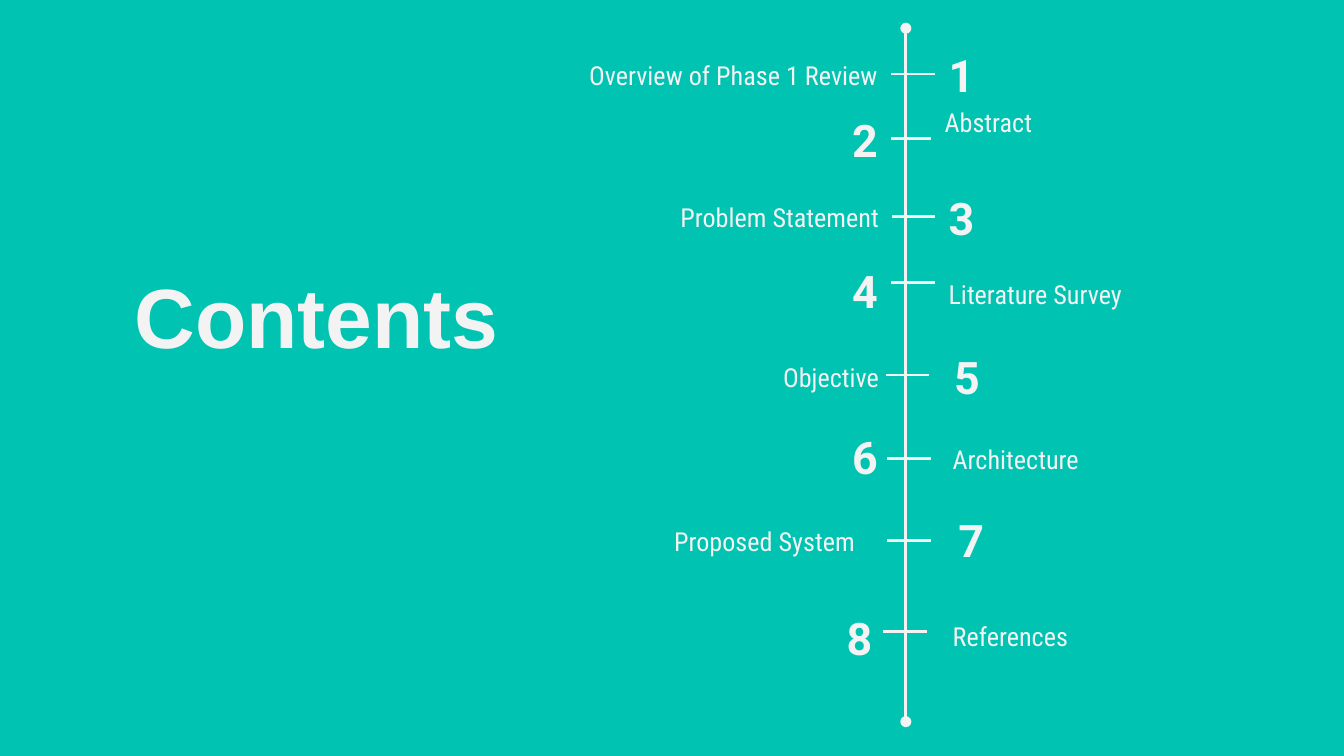
"""Build a contents slide with eight topics along a vertical timeline."""
from dataclasses import dataclass

from lxml.etree import SubElement
from pptx import Presentation
from pptx.dml.color import RGBColor
from pptx.enum.shapes import MSO_CONNECTOR
from pptx.enum.text import MSO_ANCHOR, PP_ALIGN
from pptx.oxml.ns import qn
from pptx.util import Inches, Pt


@dataclass(frozen=True)
class Theme:
    """Colours, fonts and sizes of the deck."""
    background: RGBColor = RGBColor.from_string("00C3B1")
    foreground: RGBColor = RGBColor.from_string("F3F3F3")
    title_font: str = "Arial"
    number_font: str = "Roboto"
    label_font: str = "Roboto Condensed"
    title_size: int = 45
    number_size: int = 24
    label_size: int = 14
    line_width: float = 1.5


@dataclass(frozen=True)
class Topic:
    """One stop on the timeline, placed in grid columns and rows."""
    label: str
    label_at: tuple
    number_at: tuple
    tick: tuple
    label_columns: float = 22.6
    anchor: MSO_ANCHOR = MSO_ANCHOR.MIDDLE


COLUMNS, ROWS = 100, 56.25
CELL = Inches(0.1)
AXIS_COLUMN = 67.4
BOX_COLUMNS, BOX_ROWS = 22.6, 6.9

TOPICS = [
    Topic("Overview of Phase 1 Review", (38.1, 2.1), (69.6, 2.1), (66.3, 69.6, 5.5), 28.2),
    Topic("Abstract", (69.3, 6.9), (43.7, 6.9), (66.3, 69.3, 10.3), anchor=MSO_ANCHOR.TOP),
    Topic("Problem Statement", (43.8, 12.7), (69.6, 12.7), (66.4, 69.6, 16.1)),
    Topic("Literature Survey", (69.6, 18.4), (43.7, 18.2), (66.3, 69.6, 21)),
    Topic("Objective", (43.8, 24.6), (51.3, 24.6), (65.9, 69.1, 27.9)),
    Topic("Architecture", (69.9, 30.7), (43.7, 30.5), (66, 69.3, 34.1)),
    Topic("Proposed System", (43.8, 36.8), (51.6, 36.7), (66, 69.3, 40.2), 20.8),
    Topic("References", (69.9, 43.9), (43.3, 44), (65.7, 69, 47)),
]


def grid(cells):
    """Turn a count of grid cells into a length."""
    return round(cells * CELL)


def write(frame, text, *, font, size, color, bold=False, align=PP_ALIGN.LEFT,
          anchor=MSO_ANCHOR.MIDDLE):
    """Put one formatted paragraph into a text frame."""
    frame.word_wrap = True
    frame.vertical_anchor = anchor
    frame.margin_left = frame.margin_right = grid(1)
    frame.margin_top = frame.margin_bottom = grid(1)
    para = frame.paragraphs[0]
    para.alignment = align
    span = para.add_run()
    span.text = text
    span.font.name = font
    span.font.size = Pt(size)
    span.font.bold = bold
    span.font.color.rgb = color


class ContentsPage:
    """Hold the theme and the current slide, and draw its elements."""

    def __init__(self, deck, theme):
        """Add a title-only slide with the theme's background."""
        self.theme = theme
        self.page = deck.slides.add_slide(deck.slide_layouts[5])
        self.page.background.fill.solid()
        self.page.background.fill.fore_color.rgb = theme.background

    def title(self, text, left, top, width, height):
        """Move and fill the title placeholder."""
        box = self.page.shapes.title
        box.left, box.top, box.width, box.height = map(grid, (left, top, width, height))
        write(box.text_frame, text, font=self.theme.title_font,
              size=self.theme.title_size, color=self.theme.foreground, bold=True,
              align=PP_ALIGN.RIGHT, anchor=MSO_ANCHOR.TOP)

    def text(self, text, left, top, columns=BOX_COLUMNS, **style):
        """Add a text box aligned towards the axis."""
        box = self.page.shapes.add_textbox(*map(grid, (left, top, columns, BOX_ROWS)))
        align = PP_ALIGN.RIGHT if left < AXIS_COLUMN else PP_ALIGN.LEFT
        write(box.text_frame, text, color=self.theme.foreground, align=align, **style)

    def line(self, start, end, dots=False):
        """Add a straight line, with round ends if asked for."""
        line = self.page.shapes.add_connector(MSO_CONNECTOR.STRAIGHT, *map(grid, start + end))
        line.line.color.rgb = self.theme.foreground
        line.line.width = Pt(self.theme.line_width)
        properties = line._element.spPr
        if dots:
            outline = properties.find(qn("a:ln"))
            for tag in ("a:headEnd", "a:tailEnd"):
                SubElement(outline, qn(tag), type="oval")
        SubElement(properties, qn("a:effectLst"))

    def topic(self, number, topic):
        """Add the tick, number and label of one topic."""
        left, right, row = topic.tick
        self.line((left, row), (right, row))
        self.text(str(number), *topic.number_at, font=self.theme.number_font,
                  size=self.theme.number_size, bold=True)
        self.text(topic.label, *topic.label_at, topic.label_columns,
                  font=self.theme.label_font, size=self.theme.label_size,
                  anchor=topic.anchor)


def main():
    """Build and save the deck."""
    deck = Presentation()
    deck.slide_width, deck.slide_height = grid(COLUMNS), grid(ROWS)
    contents = ContentsPage(deck, Theme())
    contents.title("Contents", 7.9, 18.7, 30.2, 18.9)
    contents.line((AXIS_COLUMN, 2.1), (AXIS_COLUMN, 53.7), dots=True)
    for number, topic in enumerate(TOPICS, start=1):
        contents.topic(number, topic)
    deck.save("out.pptx")


if __name__ == "__main__":
    main()
